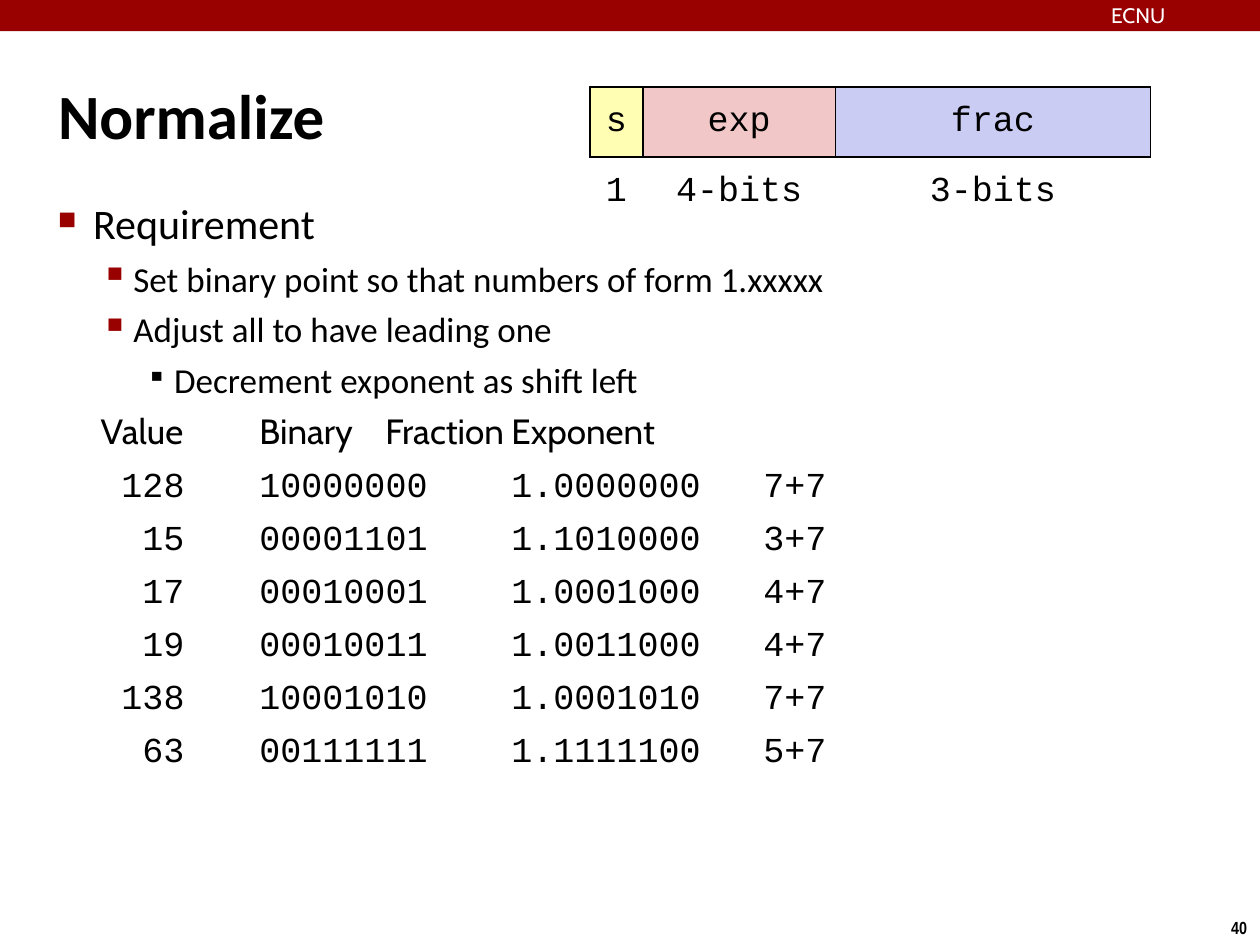
from pptx import Presentation
from pptx.dml.color import RGBColor
from pptx.enum.shapes import MSO_SHAPE
from pptx.enum.text import MSO_ANCHOR, PP_ALIGN
from pptx.oxml.ns import qn
from pptx.util import Cm, Pt
from lxml.etree import SubElement

BLACK = RGBColor(0x00, 0x00, 0x00)
WHITE = RGBColor(0xFF, 0xFF, 0xFF)
CRIMSON = RGBColor(0x99, 0x00, 0x00)
YELLOW = RGBColor(0xFF, 0xFE, 0xB2)
PINK = RGBColor(0xF1, 0xC7, 0xC7)
LAVENDER = RGBColor(0xCB, 0xCC, 0xF3)

DIGIT_WIDTH = 0.42
VALUE_COLUMN = (1.52, -0.66)

BULLETS = [
    ("Requirement", 24, 0, (0.71, -0.71), ("■", CRIMSON, 60)),
    ("Set binary point so that numbers of form 1.xxxxx", 20, 5, (1.52, -0.66), ("▪", CRIMSON, 110)),
    ("Adjust all to have leading one", 20, 5, (1.52, -0.66), ("▪", CRIMSON, 110)),
    ("Decrement exponent as shift left", 20, 5, (2.34, -0.56), ("▪", BLACK, 80)),
]
HEADINGS = ("Value", "Binary", "Fraction", "Exponent")
NUMBERS = [
    ("128", "10000000", "1.0000000", "7+7"),
    ("15", "00001101", "1.1010000", "3+7"),
    ("17", "00010001", "1.0001000", "4+7"),
    ("19", "00010011", "1.0011000", "4+7"),
    ("138", "10001010", "1.0001010", "7+7"),
    ("63", "00111111", "1.1111100", "5+7"),
]
FIELDS = [
    ("s", "1", 1.07, YELLOW),
    ("exp", "4-bits", 3.88, PINK),
    ("frac", "3-bits", 6.35, LAVENDER),
]


class SlideBuilder:
    """Holds the style and the current slide, and adds each kind of element."""

    def __init__(self, presentation):
        self.slide = presentation.slides.add_slide(presentation.slide_layouts[5])
        self.body_font = "Calibri"
        self.heading_font = "Cabin"
        self.code_font = "Courier New"

    def format_font(self, paragraph, name, size, color=BLACK, bold=False):
        font = paragraph.font
        font.name, font.size, font.bold = name, Pt(size), bold
        font.color.rgb = color

    def set_margins(self, frame, margin):
        frame.margin_left = frame.margin_right = Cm(margin)
        frame.margin_top = frame.margin_bottom = Cm(margin)

    def title(self, text, left, top, width, height):
        title = self.slide.shapes.title
        title.left, title.top, title.width, title.height = Cm(left), Cm(top), Cm(width), Cm(height)
        frame = title.text_frame
        frame.text = text
        frame.vertical_anchor = MSO_ANCHOR.MIDDLE
        self.set_margins(frame, 0.1)
        frame.paragraphs[0].alignment = PP_ALIGN.LEFT
        self.format_font(frame.paragraphs[0], self.body_font, 36, bold=True)

    def bar(self, left, top, width, height, color):
        shape = self.slide.shapes.add_shape(
            MSO_SHAPE.RECTANGLE, Cm(left), Cm(top), Cm(width), Cm(height))
        shape.shadow.inherit = False
        shape.fill.solid()
        shape.fill.fore_color.rgb = color
        shape.line.fill.background()

    def text_box(self, left, top, width, height, margin=0.0):
        box = self.slide.shapes.add_textbox(Cm(left), Cm(top), Cm(width), Cm(height))
        box.text_frame.word_wrap = True
        self.set_margins(box.text_frame, margin)
        return box.text_frame

    def label(self, text, frame, name, size, color, bold=False, alignment=PP_ALIGN.LEFT):
        frame.text = text
        frame.paragraphs[0].alignment = alignment
        self.format_font(frame.paragraphs[0], name, size, color, bold)

    def paragraph(self, frame, text, name, size, space_before, indents, bullet=None):
        paragraph = frame.paragraphs[0] if not frame.text else frame.add_paragraph()
        paragraph.text = text
        paragraph.space_before = Pt(space_before)
        properties = paragraph._p.get_or_add_pPr()
        for key, length in zip(("marL", "indent"), indents):
            properties.set(key, str(Cm(length)))
        properties.set("defTabSz", str(Cm(2.54)))
        if bullet:
            character, color, percent = bullet
            bullet_color = SubElement(properties, qn("a:buClr"))
            SubElement(bullet_color, qn("a:srgbClr"), val=str(color))
            SubElement(properties, qn("a:buSzPct"), val=str(percent * 1000))
            SubElement(properties, qn("a:buChar"), char=character)
        self.format_font(paragraph, name, size)

    def border(self, cell, side, visible):
        line = SubElement(cell._tc.get_or_add_tcPr(), qn(f"a:ln{side}"), w=str(Pt(0.96)))
        if visible:
            SubElement(SubElement(line, qn("a:solidFill")), qn("a:srgbClr"), val=str(BLACK))
        else:
            SubElement(line, qn("a:noFill"))

    def field_table(self, fields, left, top, row_height):
        width = sum(field[2] for field in fields)
        table = self.slide.shapes.add_table(
            2, len(fields), Cm(left), Cm(top), Cm(width), Cm(2 * row_height)).table
        table.first_row = table.horz_banding = False
        for row in table.rows:
            row.height = Cm(row_height)
        for column, (name, bits, column_width, color) in enumerate(fields):
            table.columns[column].width = Cm(column_width)
            for row, text in enumerate((name, bits)):
                cell = table.cell(row, column)
                cell.vertical_anchor = MSO_ANCHOR.MIDDLE
                cell.margin_left = cell.margin_right = Cm(0.15)
                for side in "LRTB":
                    self.border(cell, side, row == 0 or side == "T")
                if row == 0:
                    cell.fill.solid()
                    cell.fill.fore_color.rgb = color
                else:
                    cell.fill.background()
                self.label(text, cell.text_frame, self.code_font, 20, BLACK,
                           alignment=PP_ALIGN.CENTER)


def main():
    presentation = Presentation()
    presentation.slide_width, presentation.slide_height = Cm(25.4), Cm(19.05)
    builder = SlideBuilder(presentation)

    builder.bar(0, 0, 25.4, 0.63, CRIMSON)
    builder.label("ECNU", builder.text_box(22.4, 0.06, 2.9, 0.48), "Cabin", 12, WHITE)
    builder.label("40", builder.text_box(24.03, 18.36, 1.9, 0.69, 0.13), "Arial Narrow", 10,
                  BLACK, True, PP_ALIGN.CENTER)
    builder.title("Normalize", 1.07, 0.71, 23.29, 3.18)

    body = builder.text_box(1.07, 3.89, 23.29, 15.09, 0.1)
    for text, size, space_before, indents, bullet in BULLETS:
        builder.paragraph(body, text, builder.body_font, size, space_before, indents, bullet)
    builder.paragraph(body, "\t".join(HEADINGS), builder.heading_font, 20, 5, VALUE_COLUMN)
    margin, indent = VALUE_COLUMN
    for row in NUMBERS:
        padding = DIGIT_WIDTH * (4 - len(row[0]))
        builder.paragraph(body, "\t".join(row), builder.code_font, 20, 6.3,
                          (margin, indent + padding))

    builder.field_table(FIELDS, 11.89, 1.75, 1.41)
    presentation.save("out.pptx")


if __name__ == "__main__":
    main()
